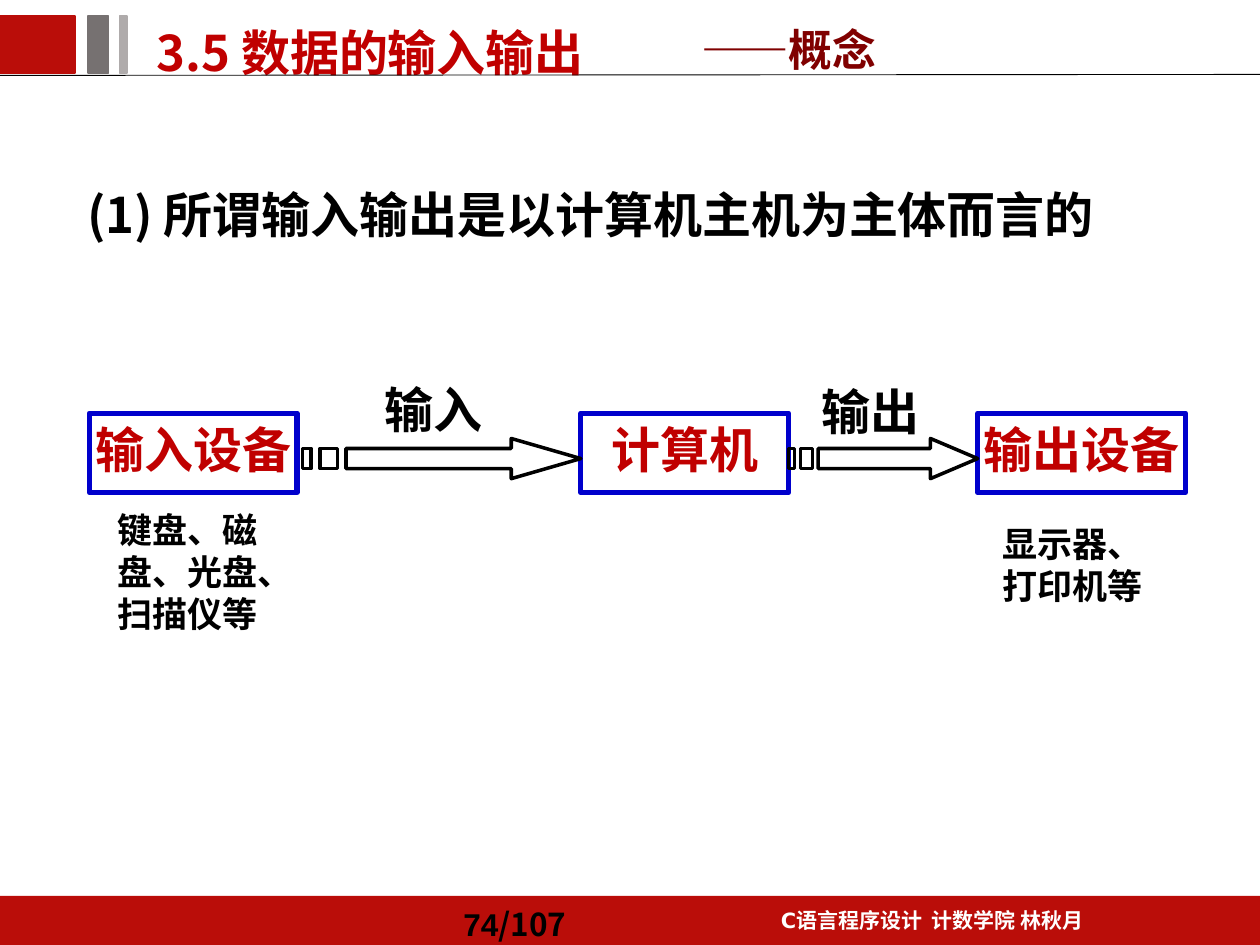
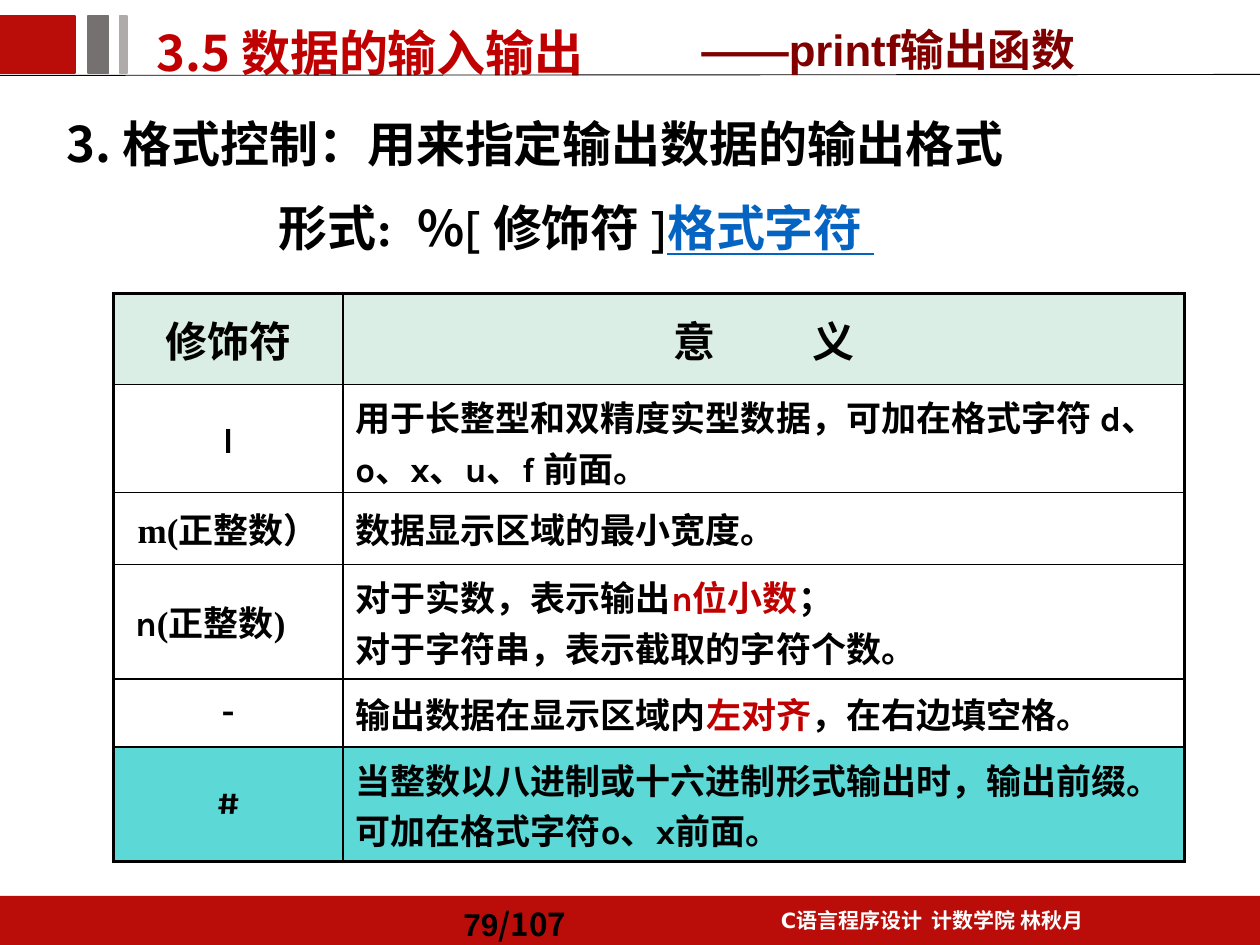
from dataclasses import dataclass, replace
from typing import Any, Optional

from lxml import etree
from pptx import Presentation
from pptx import util as u
from pptx.dml import color as dml
from pptx.enum import shapes, text
from pptx.oxml import ns

CJK, SANS, ARIAL = "Noto Sans CJK SC", "DejaVu Sans", "Arial"
TIMES, KARLA, NOTO = "Times New Roman", "Karla", "Noto Sans"
BAND, RED, MAROON, BLUE, BLACK = "BA0D09", "C00000", "800000", "0000CC", "000000"
LEFT, CENTER = text.PP_ALIGN.LEFT, text.PP_ALIGN.CENTER
TOP, MIDDLE, BOTTOM = text.MSO_ANCHOR.TOP, text.MSO_ANCHOR.MIDDLE, text.MSO_ANCHOR.BOTTOM


@dataclass(frozen=True)
class Box:
    left: float
    top: float
    width: float
    height: float

    def lengths(self) -> list[u.Cm]:
        return [u.Cm(value) for value in (self.left, self.top, self.width, self.height)]


@dataclass(frozen=True)
class Style:
    size: float
    font: str = CJK
    color: str = BLACK
    bold: bool = True
    underline: bool = False


@dataclass(frozen=True)
class Run:
    text: str
    style: Style
    spacing: float = 0


@dataclass(frozen=True)
class Line:
    runs: tuple[Run, ...]
    align: Any = LEFT
    spacing: float = 1.0
    before: float = 0
    margin: Optional[float] = None
    hanging: float = 0


@dataclass(frozen=True)
class Row:
    height: float
    cells: tuple[list[Line], list[Line]]
    fill: Optional[str] = None
    bottom: float = 0.13


def rgb(value: str) -> dml.RGBColor:
    return dml.RGBColor.from_string(value)


def assign(target: Any, values: dict[str, Any]) -> None:
    for name, value in values.items():
        setattr(target, name, value)


def line(content: str, style: Style, **options: Any) -> Line:
    return Line((Run(content, style),), **options)


def write(frame: Any, lines: list[Line]) -> None:
    for index, item in enumerate(lines):
        paragraph = frame.paragraphs[0] if index == 0 else frame.add_paragraph()
        assign(paragraph, {"alignment": item.align, "line_spacing": item.spacing,
                           "space_before": u.Pt(item.before)})
        if item.margin is not None:
            properties = paragraph._p.get_or_add_pPr()
            properties.set("marL", str(u.Cm(item.margin)))
            properties.set("indent", str(u.Cm(-item.hanging)))
            etree.SubElement(properties, ns.qn("a:buNone"))
        for part in item.runs:
            run = paragraph.add_run()
            run.text = part.text
            style = part.style
            run.font.color.rgb = rgb(style.color)
            assign(run.font, {"size": u.Pt(style.size), "bold": style.bold,
                              "underline": style.underline, "name": style.font})
            properties = run.font._element
            etree.SubElement(properties, ns.qn("a:ea"), typeface=CJK)
            if part.spacing:
                properties.set("spc", str(round(part.spacing * 100)))


def fill_frame(shape: Any, lines: list[Line], anchor: Any = TOP, wrap: bool = True) -> None:
    assign(shape.text_frame, {"word_wrap": wrap, "vertical_anchor": anchor,
                              "auto_size": text.MSO_AUTO_SIZE.NONE})
    write(shape.text_frame, lines)


def add_text(slide: Any, box: Box, lines: list[Line], anchor: Any = TOP, wrap: bool = True) -> None:
    fill_frame(slide.shapes.add_textbox(*box.lengths()), lines, anchor, wrap)


def fill_placeholder(placeholder: Any, box: Box, lines: list[Line]) -> None:
    assign(placeholder, dict(zip(("left", "top", "width", "height"), box.lengths())))
    fill_frame(placeholder, lines)


def paint(shape: Any, fill: Optional[str], outline: str, weight: float) -> None:
    shape.shadow.inherit = False
    if fill:
        shape.fill.solid()
        shape.fill.fore_color.rgb = rgb(fill)
    else:
        shape.fill.background()
    shape.line.color.rgb = rgb(outline)
    shape.line.width = u.Pt(weight)


def add_rectangle(slide: Any, box: Box, fill: Optional[str], outline: str, weight: float = 1) -> Any:
    shape = slide.shapes.add_shape(shapes.MSO_SHAPE.RECTANGLE, *box.lengths())
    paint(shape, fill, outline, weight)
    return shape


def add_striped_arrow(slide: Any, box: Box) -> None:
    left, top, width, height = box.lengths()

    def points(*fractions: tuple[float, float]) -> list[tuple[int, int]]:
        return [(round(left + x * width), round(top + y * height)) for x, y in fractions]

    def bar(start: float, end: float) -> list[tuple[int, int]]:
        return points((start, 0.25), (start, 0.75), (end, 0.75), (end, 0.25))

    head, tail = 3 / 4, 5 / 32
    arrow = points((head, 0), (head, 0.25), (tail, 0.25), (tail, 0.75),
                   (head, 0.75), (head, 1), (1, 0.5))
    builder = slide.shapes.build_freeform(*arrow[0])
    builder.add_line_segments(arrow[1:], close=True)
    for stripe in (bar(2 / 32, 4 / 32), bar(0, 1 / 32)):
        builder.move_to(*stripe[0])
        builder.add_line_segments(stripe[1:], close=True)
    paint(builder.convert_to_shape(), None, BLACK, 2)


def add_lecture_slide(presentation: Any, page: str, topic: str, body: Box, lines: list[Line]) -> Any:
    slide = presentation.slides.add_slide(presentation.slide_layouts[1])
    footer = add_rectangle(slide, Box(0, 18.06, 25.4, 0.99), BAND, BAND)
    footer.line.fill.background()
    add_text(slide, Box(14.3, 18.06, 8.99, 0.86),
             [line("C语言程序设计  计数学院 林秋月", Style(12, SANS, "FFFFFF"),
                   align=CENTER, spacing=1.2, before=2.4)])
    rule = slide.shapes.add_connector(shapes.MSO_CONNECTOR.STRAIGHT,
                                      u.Cm(0), u.Cm(1.52), u.Cm(25.4), u.Cm(1.5))
    rule.line.color.rgb = rgb(BLACK)
    rule.line.width = u.Pt(0.5)
    etree.SubElement(rule._element.spPr, ns.qn("a:effectLst"))
    for left, width, color in ((0, 1.52, BAND), (1.78, 0.41, "767171"), (2.41, 0.15, "AFABAB")):
        add_rectangle(slide, Box(left, 0.33, width, 1.14), color, color)
    add_text(slide, Box(9.09, 18.06, 3.61, 0.99),
             [Line((Run(page, Style(18, ARIAL)), Run("/107", Style(18))),
                   spacing=1.2, before=3.6)], MIDDLE)
    fill_placeholder(slide.shapes.title, Box(2.9, 0.08, 12.22, 1.68),
                     [line("3.5 数据的输入输出", Style(28, color=RED), spacing=1.2, before=5.6)])
    fill_placeholder(slide.placeholders[1], body, lines)
    add_text(slide, Box(13.89, 0.33, 11, 1.32),
             [line("——" + topic, Style(25, ARIAL, MAROON))], BOTTOM)
    return slide


def add_concept_slide(presentation: Any) -> None:
    slide = add_lecture_slide(
        presentation, "74", "概念", Box(1.5, 3.73, 22.02, 10.52),
        [line("(1) 所谓输入输出是以计算机主机为主体而言的", Style(28),
              spacing=0.9, before=7.5, margin=0.48, hanging=0.48)])
    for left, device in ((1.8, "输入设备"), (11.71, "计算机"), (19.71, "输出设备")):
        shape = add_rectangle(slide, Box(left, 8.33, 4.19, 1.6), None, BLUE, 3)
        fill_frame(shape, [line(device, Style(28, SANS, RED), align=CENTER)], wrap=False)
    for left, width in ((6.1, 5.61), (15.9, 3.81)):
        add_striped_arrow(slide, Box(left, 8.84, width, 0.81))
    for left, top, label in ((16.31, 7.57, "输出"), (7.49, 7.52, "输入")):
        add_text(slide, Box(left, top, 2.49, 1.45),
                 [line(label, Style(28, ARIAL), align=CENTER)], wrap=False)
    for left, top, height, examples in ((2.11, 10.13, 3.66, "键盘、磁盘、光盘、扫描仪等"),
                                        (19.96, 10.41, 2.13, "显示器、打印机等")):
        add_text(slide, Box(left, top, 3.56, height), [line(examples, Style(20))])


def set_border(cell: Any, side: str, weight: float) -> None:
    border = etree.SubElement(cell._tc.get_or_add_tcPr(), ns.qn(f"a:ln{side}"), w=str(u.Pt(weight)))
    solid = etree.SubElement(border, ns.qn("a:solidFill"))
    etree.SubElement(solid, ns.qn("a:srgbClr"), val=BLACK)


def add_modifier_table(slide: Any, left: float, top: float, widths: list[float], rows: list[Row]) -> None:
    box = Box(left, top, sum(widths), sum(row.height for row in rows))
    table = slide.shapes.add_table(len(rows), len(widths), *box.lengths()).table
    assign(table, {"first_row": False, "horz_banding": False})
    for column, width in zip(table.columns, widths):
        column.width = u.Cm(width)
    for row_index, row in enumerate(rows):
        table.rows[row_index].height = u.Cm(row.height)
        for column_index, lines in enumerate(row.cells):
            cell = table.cell(row_index, column_index)
            assign(cell, {"vertical_anchor": MIDDLE, "margin_bottom": u.Cm(row.bottom)})
            outer = {"L": column_index == 0, "R": column_index == len(widths) - 1,
                     "T": row_index == 0, "B": row_index == len(rows) - 1}
            for side, is_outer in outer.items():
                set_border(cell, side, 2.25 if is_outer else 1)
            if row.fill:
                cell.fill.solid()
                cell.fill.fore_color.rgb = rgb(row.fill)
            else:
                cell.fill.background()
            write(cell.text_frame, lines)


def add_printf_slide(presentation: Any) -> None:
    heading = Style(28)
    noto, plain = replace(heading, font=NOTO), replace(heading, font=NOTO, bold=False)
    link = replace(heading, color="0563C1", underline=True)
    form = (Run("形式", noto), Run(":  ", replace(heading, font=TIMES)), Run("%", heading),
            Run("[ ", plain), Run("修饰符 ", noto), Run("]", plain),
            Run("格式字符", link), Run(" ", replace(link, bold=False)))
    slide = add_lecture_slide(
        presentation, "79", "printf输出函数", Box(1.09, 1.93, 23.22, 3.71),
        [line("3. 格式控制：用来指定输出数据的输出格式", heading,
              spacing=1.2, before=7.5, margin=0.48, hanging=0.48),
         Line(form, spacing=1.2, before=7.5, margin=4.27)])
    header, body = Style(24), Style(20, KARLA)
    times, accent = replace(body, font=TIMES), replace(body, color=RED)
    meaning = (Run("意", header), Run(" ", header, 50), Run("义", header))
    rows = [
        Row(1.83, ([line("修饰符", header, align=CENTER)], [Line(meaning, CENTER)]), "DAEEE5"),
        Row(2.13, ([line("l", body, align=CENTER)],
                   [line("用于长整型和双精度实型数据，可加在格式字符 d、o、x、u、f 前面。", body)]),
            bottom=0),
        Row(1.45, ([Line((Run("m(", times), Run("正整数）", body)), CENTER)],
                   [line("数据显示区域的最小宽度。", body)])),
        Row(2.31, ([Line((Run(" n", body), Run("(", times), Run("正整数", body), Run(")", times)))],
                   [Line((Run("对于实数，表示输出", body), Run("n位小数", accent), Run("；", body))),
                    line("对于字符串，表示截取的字符个数。", body)])),
        Row(1.37, ([line("-", body, align=CENTER)],
                   [Line((Run("输出数据在显示区域内", body), Run("左对齐", accent),
                          Run("，在右边填空格。", body)))])),
        Row(2.31, ([line("#", body, align=CENTER)],
                   [line("当整数以八进制或十六进制形式输出时，输出前缀。", body),
                    line("可加在格式字符o、x前面。", body)]), "5CD9D6"),
    ]
    add_modifier_table(slide, 2.29, 5.92, [4.62, 16.97], rows)


def main() -> None:
    presentation = Presentation()
    assign(presentation, {"slide_width": u.Cm(25.4), "slide_height": u.Cm(19.05)})
    add_concept_slide(presentation)
    add_printf_slide(presentation)
    presentation.save("out.pptx")


if __name__ == "__main__":
    main()
